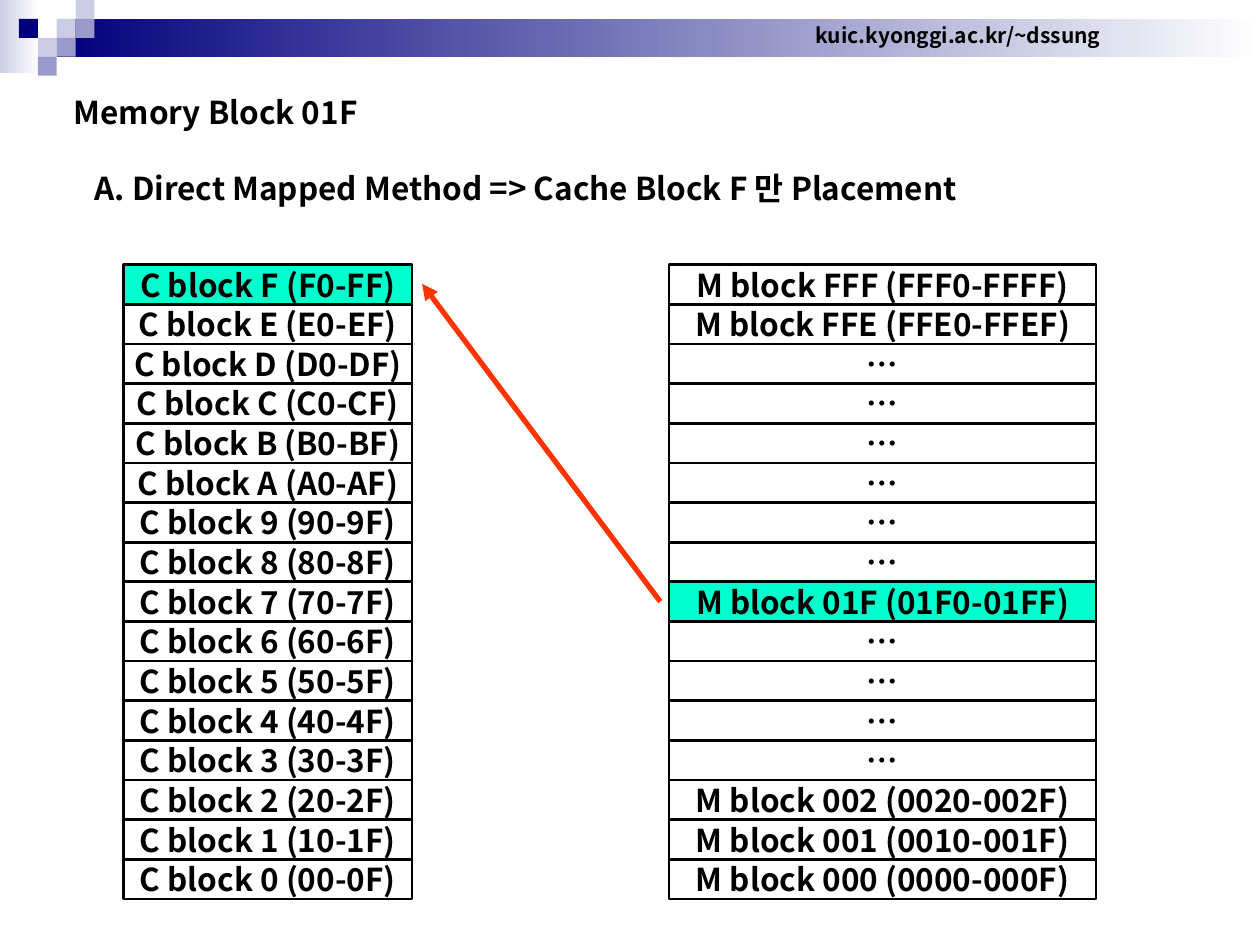
from lxml import etree
from pptx import Presentation
from pptx.dml.color import RGBColor
from pptx.enum.shapes import MSO_CONNECTOR, MSO_SHAPE
from pptx.enum.text import MSO_ANCHOR, PP_ALIGN
from pptx.oxml.ns import qn
from pptx.util import Pt

RECT = MSO_SHAPE.RECTANGLE
STRAIGHT = MSO_CONNECTOR.STRAIGHT
MIDDLE = MSO_ANCHOR.MIDDLE
LEFT, CENTER = PP_ALIGN.LEFT, PP_ALIGN.CENTER

FONT = "Noto Sans CJK KR"
BLACK, WHITE, NAVY = "000000", "FFFFFF", "00007D"
LILAC, VIOLET, MINT, RED = "CCCCE6", "9999CC", "00FFCC", "FF3300"
UNIT = 10.8
ROW_TOP, ROW_HEIGHT = 151.2, 22.66


def color(value):
    return RGBColor.from_string(value)


def style(p, size, align):
    p.alignment = align
    p.font.name = FONT
    p.font.size = Pt(size)
    p.font.bold = True
    p.font.color.rgb = color(BLACK)
    etree.SubElement(p.font._element, qn("a:ea"), typeface=FONT)


def add_rect(slide, x, y, w, h, fill, fade=None):
    s = slide.shapes.add_shape(RECT, Pt(x), Pt(y), Pt(w), Pt(h))
    s.shadow.inherit = False
    s.line.fill.background()
    if fade:
        s.fill.gradient()
        s.fill.gradient_angle = 0
        for stop, value in zip(s.fill.gradient_stops, (fill, fade)):
            stop.color.rgb = color(value)
    else:
        s.fill.solid()
        s.fill.fore_color.rgb = color(fill)
    return s


def add_banner(slide):
    add_rect(slide, 0, 0, 22, 42, LILAC, WHITE)
    add_rect(slide, 3 * UNIT, UNIT, 720 - 3 * UNIT, 2 * UNIT, NAVY, WHITE)
    squares = [(3, 1, LILAC), (4, 0, LILAC), (4, 1, VIOLET), (2, 2, LILAC),
               (1, 1, NAVY), (3, 2, VIOLET), (2, 3, VIOLET)]
    for col, row, fill in squares:
        add_rect(slide, col * UNIT, row * UNIT, UNIT, UNIT, fill)


def add_address(slide, text):
    tf = slide.shapes.add_textbox(Pt(458.6), Pt(9.4), Pt(178), Pt(21.6)).text_frame
    tf.word_wrap = False
    tf.vertical_anchor = MIDDLE
    tf.text = text
    style(tf.paragraphs[0], 12, CENTER)


def add_heading(slide, lines):
    tf = slide.shapes.add_textbox(Pt(31), Pt(49.6), Pt(560), Pt(72)).text_frame
    tf.word_wrap = True
    tf.text = "\n".join(text for text, _, _ in lines)
    for p, (_, indent, gap) in zip(tf.paragraphs, lines):
        p.line_spacing = Pt(21.7)
        p.space_before = Pt(gap)
        p._p.get_or_add_pPr().set("marL", str(Pt(indent)))
        style(p, 18, LEFT)


def add_blocks(slide, x, width, labels, marked):
    for i, label in enumerate(labels):
        fill = MINT if label == marked else WHITE
        s = add_rect(slide, x, ROW_TOP + i * ROW_HEIGHT, width, ROW_HEIGHT, fill)
        s.line.color.rgb = color(BLACK)
        s.line.width = Pt(1.5)
        tf = s.text_frame
        tf.word_wrap = False
        tf.vertical_anchor = MIDDLE
        tf.text = label
        style(tf.paragraphs[0], 18, CENTER)


def add_arrow(slide, x1, y1, x2, y2):
    s = slide.shapes.add_connector(STRAIGHT, Pt(x1), Pt(y1), Pt(x2), Pt(y2))
    s.line.color.rgb = color(RED)
    s.line.width = Pt(3)
    etree.SubElement(s.line._get_or_add_ln(), qn("a:tailEnd"), type="triangle")
    etree.SubElement(s._element.spPr, qn("a:effectLst"))


def memory_label(block):
    return f"M block {block} ({block}0-{block}F)"


def main():
    prs = Presentation()
    prs.slide_width, prs.slide_height = Pt(720), Pt(540)
    slide = prs.slides.add_slide(prs.slide_layouts[6])

    add_banner(slide)
    add_address(slide, "kuic.kyonggi.ac.kr/~dssung")
    add_heading(slide, [
        ("Memory Block 01F", 4, 0),
        ("A. Direct Mapped Method => Cache Block F 만 Placement", 16, 21.7),
    ])

    top = [memory_label(b) for b in ("FFF", "FFE")]
    target = memory_label("01F")
    bottom = [memory_label(b) for b in ("002", "001", "000")]
    memory = top + ["…"] * 6 + [target] + ["…"] * 4 + bottom
    cache = [f"C block {d} ({d}0-{d}F)" for d in "FEDCBA9876543210"]
    add_blocks(slide, 382.3, 244.1, memory, target)
    add_blocks(slide, 70.6, 164.9, cache, cache[0])
    add_arrow(slide, 377.3, 343.8, 241.2, 162.2)

    prs.save("out.pptx")


if __name__ == "__main__":
    main()
